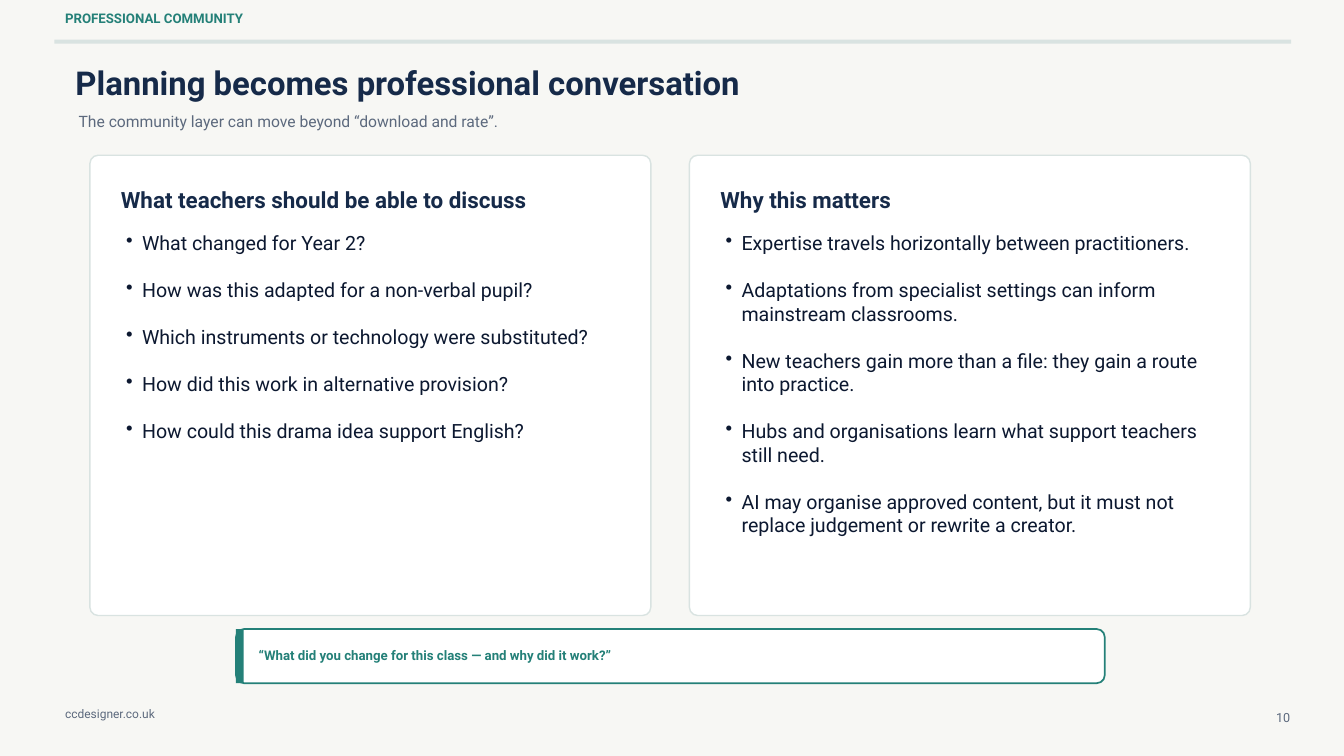
from lxml import etree
from pptx import Presentation
from pptx import util as u
from pptx.dml.color import RGBColor
from pptx.enum import shapes, text
from pptx.oxml.ns import qn

TEAL, NAVY, INK = "248078", "162A49", "0C1830"
GREY, RULE, WHITE, PAPER = "5C697D", "D9E3E1", "FFFFFF", "F7F7F4"
RADIUS = 0.31
INDENT = 0.6

CARDS = [
    ("What teachers should be able to discuss", [
        "What changed for Year 2?",
        "How was this adapted for a non-verbal pupil?",
        "Which instruments or technology were substituted?",
        "How did this work in alternative provision?",
        "How could this drama idea support English?",
    ]),
    ("Why this matters", [
        "Expertise travels horizontally between practitioners.",
        "Adaptations from specialist settings can inform mainstream classrooms.",
        "New teachers gain more than a file: they gain a route into practice.",
        "Hubs and organisations learn what support teachers still need.",
        "AI may organise approved content, but it must not replace judgement "
        "or rewrite a creator.",
    ]),
]


def color(code):
    return RGBColor.from_string(code)


class Deck:
    """Holds the style and the current slide; lengths are in centimetres."""

    font = "Roboto"

    def __init__(self, wide, high):
        self.prs = Presentation()
        self.prs.slide_width = u.Cm(wide)
        self.prs.slide_height = u.Cm(high)

    def start(self, paper):
        self.slide = self.prs.slides.add_slide(self.prs.slide_layouts[5])
        fill = self.slide.background.fill
        fill.solid()
        fill.fore_color.rgb = color(paper)

    def style(self, para, size, ink, bold=False, align=text.PP_ALIGN.LEFT):
        para.alignment = align
        para.line_spacing = u.Pt(size * 1.2)
        para.space_before = u.Pt(0)
        para.font.name = self.font
        para.font.size = u.Pt(size)
        para.font.bold = bold
        para.font.color.rgb = color(ink)

    def frame(self, shape):
        """Clear the margins of a text shape and wrap it from the top."""
        frame = shape.text_frame
        frame.margin_left = frame.margin_right = 0
        frame.margin_top = frame.margin_bottom = 0
        frame.word_wrap = True
        frame.auto_size = text.MSO_AUTO_SIZE.NONE
        frame.vertical_anchor = text.MSO_ANCHOR.TOP
        return frame

    def title(self, box, words, *look):
        shape = self.slide.shapes.title
        shape.left, shape.top, shape.width, shape.height = map(u.Cm, box)
        frame = self.frame(shape)
        frame.text = words
        self.style(frame.paragraphs[0], *look)

    def label(self, box, words, *look):
        frame = self.frame(self.slide.shapes.add_textbox(*map(u.Cm, box)))
        frame.text = words
        self.style(frame.paragraphs[0], *look)

    def bullets(self, box, items, size, ink):
        frame = self.frame(self.slide.shapes.add_textbox(*map(u.Cm, box)))
        frame.text = "\n".join(items)
        for i, para in enumerate(frame.paragraphs):
            props = para._p.get_or_add_pPr()
            props.set("marL", str(u.Cm(INDENT)))
            props.set("indent", str(-u.Cm(INDENT)))
            etree.SubElement(props, qn("a:buChar"), char="•")
            self.style(para, size, ink)
            if i:
                para.space_before = u.Pt(size * 1.2)

    def block(self, box, fill, kind=shapes.MSO_SHAPE.RECTANGLE):
        shape = self.slide.shapes.add_shape(kind, *map(u.Cm, box))
        shape.shadow.inherit = False
        shape.fill.solid()
        shape.fill.fore_color.rgb = color(fill)
        shape.line.fill.background()
        return shape

    def panel(self, box, edge, width):
        """White rounded box with a coloured outline."""
        shape = self.block(box, WHITE, shapes.MSO_SHAPE.ROUNDED_RECTANGLE)
        shape.adjustments[0] = RADIUS / min(box[2:])
        shape.line.color.rgb = color(edge)
        shape.line.width = u.Pt(width)

    def card(self, left, top, head, items):
        self.panel((left, top, 21.2, 17.4), RULE, 1.5)
        self.label((left + 1.17, top + 1.17, 19.05, 1.07), head, 24, NAVY, True)
        self.bullets((left + 1.37, top + 2.87, 18.3, 11.4), items, 21, INK)

    def quote(self, box, words):
        left, top, wide, high = box
        self.panel(box, TEAL, 1.8)
        self.block((left, top, 0.29, high), TEAL)
        self.label((left + 0.86, top + 0.69, wide - 1.6, 0.6),
                   words, 14.2, TEAL, True)


def main():
    deck = Deck(50.8, 28.58)
    deck.start(PAPER)
    deck.block((2.06, 1.5, 46.74, 0.15), RULE)
    deck.label((2.46, 0.38, 23.6, 0.9), "PROFESSIONAL COMMUNITY", 14.2, TEAL, True)
    deck.title((2.85, 2.36, 35, 1.83),
               "Planning becomes professional conversation", 35.2, NAVY, True)
    deck.label((2.97, 4.24, 43.8, 0.86),
               "The community layer can move beyond “download and rate”.",
               16.8, GREY)
    for i, (head, items) in enumerate(CARDS):
        deck.card(3.4 + i * 22.66, 5.87, head, items)
    deck.quote((8.92, 23.78, 32.84, 2.05),
               "“What did you change for this class — and why did it work?”")
    deck.label((2.46, 26.72, 8.4, 0.8), "ccdesigner.co.uk", 12.8, GREY)
    deck.label((47.8, 26.82, 0.97, 0.8), "10", 13.5, GREY, False,
               text.PP_ALIGN.RIGHT)
    deck.prs.save("out.pptx")


if __name__ == "__main__":
    main()
